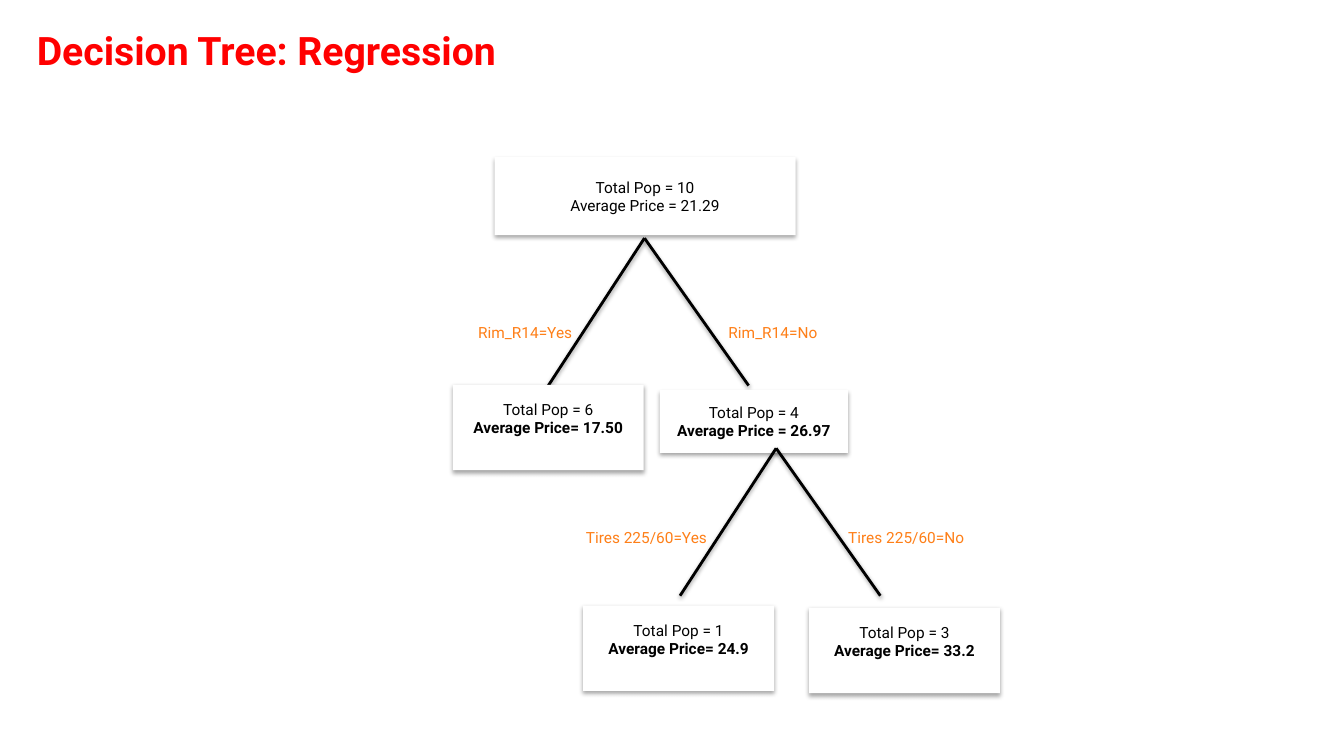
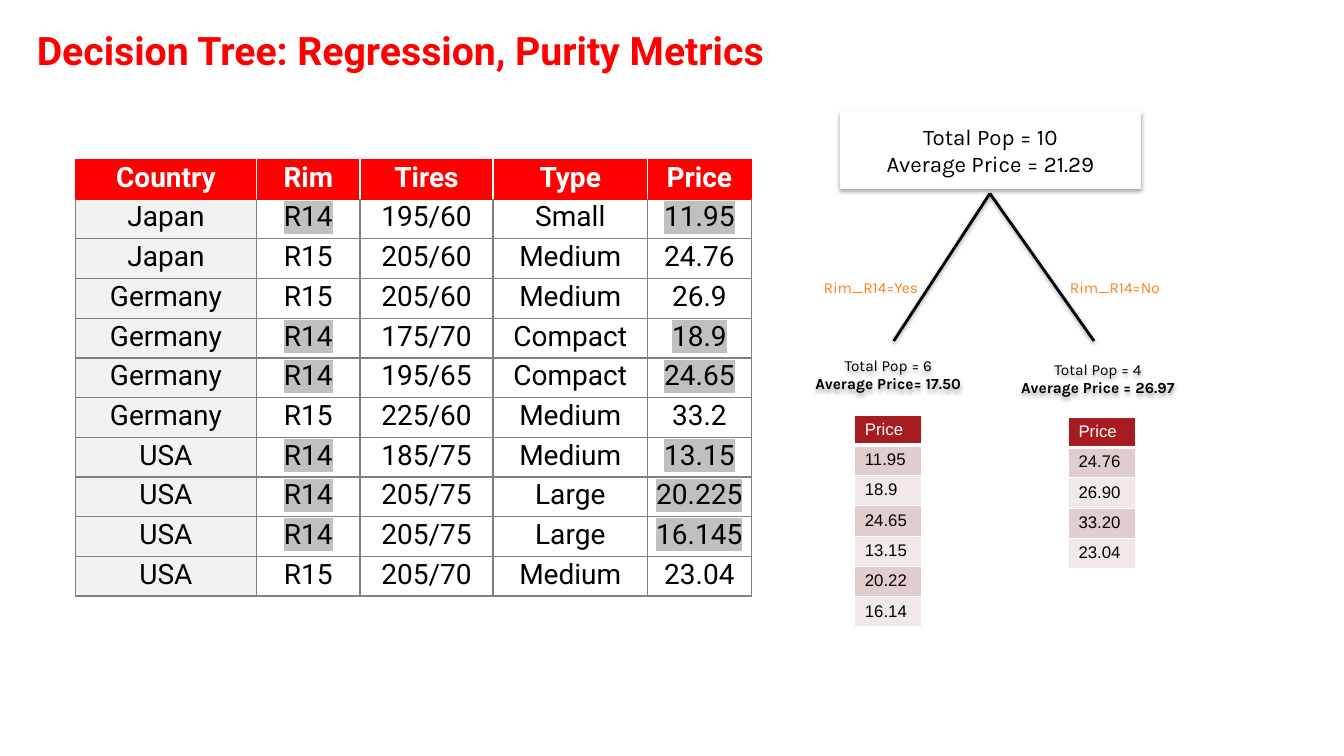
from typing import NamedTuple

from lxml.etree import SubElement
from pptx import Presentation
from pptx.dml.color import RGBColor
from pptx.enum.shapes import MSO_CONNECTOR, MSO_SHAPE
from pptx.enum.text import MSO_ANCHOR, PP_ALIGN
from pptx.oxml.ns import qn
from pptx.util import Inches, Pt

WIDTH, HEIGHT = Inches(13.33), Inches(7.5)

BLACK = RGBColor(0x00, 0x00, 0x00)
WHITE = RGBColor(0xFF, 0xFF, 0xFF)
RED = RGBColor(0xFF, 0x00, 0x00)
ORANGE = RGBColor(0xFE, 0x7F, 0x18)
GRAY = RGBColor(0x80, 0x80, 0x80)
SILVER = RGBColor(0xC0, 0xC0, 0xC0)
PALE = RGBColor(0xF2, 0xF2, 0xF2)
WINE = RGBColor(0xA7, 0x1C, 0x20)
BANDS = RGBColor(0xE1, 0xCD, 0xCD), RGBColor(0xF1, 0xE8, 0xE8)

ROBOTO, KARLA, ARIAL = "Roboto", "Karla", "Arial"

CARS = [
    ("Country", "Rim", "Tires", "Type", "Price"),
    ("Japan", "R14", "195/60", "Small", "11.95"),
    ("Japan", "R15", "205/60", "Medium", "24.76"),
    ("Germany", "R15", "205/60", "Medium", "26.9"),
    ("Germany", "R14", "175/70", "Compact", "18.9"),
    ("Germany", "R14", "195/65", "Compact", "24.65"),
    ("Germany", "R15", "225/60", "Medium", "33.2"),
    ("USA", "R14", "185/75", "Medium", "13.15"),
    ("USA", "R14", "205/75", "Large", "20.225"),
    ("USA", "R14", "205/75", "Large", "16.145"),
    ("USA", "R15", "205/70", "Medium", "23.04"),
]
CAR_COLS = (1.8, 0.95, 1.27, 1.47, 0.95)


class Box(NamedTuple):
    """A region in percent of the slide's width and height."""
    x: float
    y: float
    w: float
    h: float

    def emu(self):
        sides = (WIDTH, HEIGHT, WIDTH, HEIGHT)
        return [round(side * part / 100) for side, part in zip(sides, self)]

    def inner(self, x, y, w, h):
        """Return the part of this box given by shares of its size."""
        return Box(self.x + x * self.w, self.y + y * self.h, w * self.w, h * self.h)


TITLE = Box(2, 2.4, 91.8, 8.3)


def style(par, font, size, color, bold=False, align=PP_ALIGN.LEFT):
    par.alignment = align
    for run in par.runs:
        run.font.name, run.font.size, run.font.bold = font, Pt(size), bold
        run.font.color.rgb = color


def mark(run, color):
    """Highlight a run that already has its colour."""
    light = SubElement(run.font._element, qn("a:highlight"))
    SubElement(light, qn("a:srgbClr"), val=str(color))
    run.font._element.find(qn("a:solidFill")).addnext(light)


def shade(shape, dist, alpha):
    """Add a soft shadow below a shape whose fill and line are set."""
    effects = SubElement(shape._element.spPr, qn("a:effectLst"))
    shadow = SubElement(effects, qn("a:outerShdw"), blurRad="40000",
                        dist=str(dist), dir="5400000", rotWithShape="0")
    color = SubElement(shadow, qn("a:srgbClr"), val=str(BLACK))
    SubElement(color, qn("a:alpha"), val=str(alpha * 1000))


def text(slide, box, words, font, size, color, bold=False):
    frame = slide.shapes.add_textbox(*box.emu()).text_frame
    frame.word_wrap = True
    frame.text = words
    style(frame.paragraphs[0], font, size, color, bold)
    return frame


def page(deck, title):
    slide = deck.slides.add_slide(deck.slide_layouts[6])
    frame = text(slide, TITLE, title, ROBOTO, 28, RED, True)
    frame.vertical_anchor = MSO_ANCHOR.MIDDLE
    return slide


def node(slide, box, lines, font, size=11, strong=True, filled=True, lift=0):
    """Draw a tree node; lift is the room in points kept under its text."""
    card = slide.shapes.add_shape(MSO_SHAPE.RECTANGLE, *box.emu())
    if filled:
        card.fill.solid()
        card.fill.fore_color.rgb = WHITE
    else:
        card.fill.background()
    card.line.fill.background()
    shade(card, 23000, 35)
    frame = card.text_frame
    frame.word_wrap = True
    frame.vertical_anchor = MSO_ANCHOR.MIDDLE
    frame.margin_bottom = Inches(0.05) + Pt(lift)
    frame.text = "\n".join(lines)
    for i, par in enumerate(frame.paragraphs):
        style(par, font, size, BLACK, strong and i == 1, PP_ALIGN.CENTER)


def root(slide, box, font, size):
    lines = ("Total Pop = 10", "Average Price = 21.29")
    node(slide, box, lines, font, size, strong=False)


def fork(slide, box, test, font, yes, no, drop, wide):
    """Draw two branches and their labels; yes, no, drop, wide are shares of the box."""
    left, top, width, height = box.emu()
    apex = left + round(width * 0.48)
    for end in (left, left + width):
        branch = slide.shapes.add_connector(
            MSO_CONNECTOR.STRAIGHT, apex, top, end, top + height)
        branch.line.color.rgb = BLACK
        branch.line.width = Pt(2)
        shade(branch, 20000, 38)
    for x, answer in ((yes, "Yes"), (no, "No")):
        text(slide, box.inner(x, drop, wide, 0.2), f"{test}={answer}", font, 11, ORANGE)


def edge(cell, sides):
    """Set borders, given as (colour, points) for left, right, top, bottom."""
    props = cell._tc.get_or_add_tcPr()
    for i, (side, (color, width)) in enumerate(zip("LRTB", sides)):
        line = SubElement(props, qn(f"a:ln{side}"), w=str(Pt(width)))
        fill = SubElement(line, qn("a:solidFill"))
        SubElement(fill, qn("a:srgbClr"), val=str(color))
        props.insert(i, line)


def paint(cell, color):
    if color is None:
        cell.fill.background()
    else:
        cell.fill.solid()
        cell.fill.fore_color.rgb = color


def grid(slide, box, rows, cols):
    """Add a plain table with equal rows and weighted columns."""
    frame = slide.shapes.add_table(len(rows), len(cols), *box.emu())
    table = frame.table
    table.first_row = table.horz_banding = False
    for col, part in zip(table.columns, cols):
        col.width = round(frame.width * part / sum(cols))
    for r, row in enumerate(rows):
        for c, value in enumerate(row):
            table.cell(r, c).text_frame.text = value
    return table


def cars(slide, box):
    table = grid(slide, box, CARS, CAR_COLS)
    last = len(CAR_COLS) - 1
    for r, row in enumerate(CARS):
        head = r == 0
        for c in range(len(row)):
            cell = table.cell(r, c)
            cell.margin_left = cell.margin_right = cell.margin_top = Inches(0.01)
            cell.margin_bottom = Inches(0.05)
            cell.vertical_anchor = MSO_ANCHOR.BOTTOM
            par = cell.text_frame.paragraphs[0]
            style(par, ROBOTO, 20, WHITE if head else BLACK, head, PP_ALIGN.CENTER)
            if row[1] == "R14" and c in (1, last):
                mark(par.runs[0], SILVER)
            if head:
                paint(cell, RED)
                colors = (WHITE if c else RED, WHITE if c < last else RED, RED, RED)
            else:
                paint(cell, None if c else PALE)
                colors = (GRAY, GRAY, RED if r == 1 else GRAY, GRAY)
            edge(cell, [(color, 1) for color in colors])


def prices(slide, x, y, values):
    rows = [("Price",)] + [(value,) for value in values]
    table = grid(slide, Box(x, y, 5, 4 * len(rows)), rows, (1,))
    for r in range(len(rows)):
        cell = table.cell(r, 0)
        style(cell.text_frame.paragraphs[0], ARIAL, 12, BLACK if r else WHITE)
        paint(cell, BANDS[(r - 1) % 2] if r else WINE)
        rule = 3 if r == 0 else 1
        top = 3 if r == 1 else 1
        edge(cell, [(WHITE, width) for width in (1, 1, top, rule)])


def tree(deck):
    slide = page(deck, "Decision Tree: Regression")
    fork(slide, Box(40.8, 31.5, 14.9, 19.5), "Rim_R14", ROBOTO, -0.4, 0.85, 0.54, 0.61)
    node(slide, Box(33.7, 50.9, 14.2, 11.3),
         ("Total Pop = 6", "Average Price= 17.50"), ROBOTO, lift=13)
    node(slide, Box(49.1, 51.6, 14, 8.3),
         ("Total Pop = 4", "Average Price = 26.97"), ROBOTO)
    root(slide, Box(36.8, 20.8, 22.4, 10.3), ROBOTO, 11)
    fork(slide, Box(50.6, 59.3, 14.9, 19.5), "Tires 225/60", ROBOTO,
         -0.52, 0.79, 0.51, 0.76)
    node(slide, Box(43.4, 80.1, 14.2, 11.3),
         ("Total Pop = 1", "Average Price= 24.9"), ROBOTO, lift=13)
    node(slide, Box(60.2, 80.4, 14.2, 11.3),
         ("Total Pop = 3", "Average Price= 33.2"), ROBOTO, lift=13)


def purity(deck):
    slide = page(deck, "Decision Tree: Regression, Purity Metrics")
    cars(slide, Box(5.6, 21.1, 48.3, 57.2))
    fork(slide, Box(66.5, 25.6, 14.9, 19.5), "Rim_R14", KARLA, -0.4, 0.83, 0.54, 0.61)
    node(slide, Box(59, 45.1, 14.2, 11.3),
         ("Total Pop = 6", "Average Price= 17.50"), KARLA, filled=False, lift=13)
    node(slide, Box(74.7, 45.9, 14, 8.3),
         ("Total Pop = 4", "Average Price = 26.97"), KARLA, filled=False)
    root(slide, Box(62.5, 14.7, 22.4, 10.3), KARLA, 16)
    prices(slide, 63.6, 54.9, ("11.95", "18.9", "24.65", "13.15", "20.22", "16.14"))
    prices(slide, 79.5, 55.2, ("24.76", "26.90", "33.20", "23.04"))


def main():
    deck = Presentation()
    deck.slide_width, deck.slide_height = WIDTH, HEIGHT
    tree(deck)
    purity(deck)
    deck.save("out.pptx")


if __name__ == "__main__":
    main()
